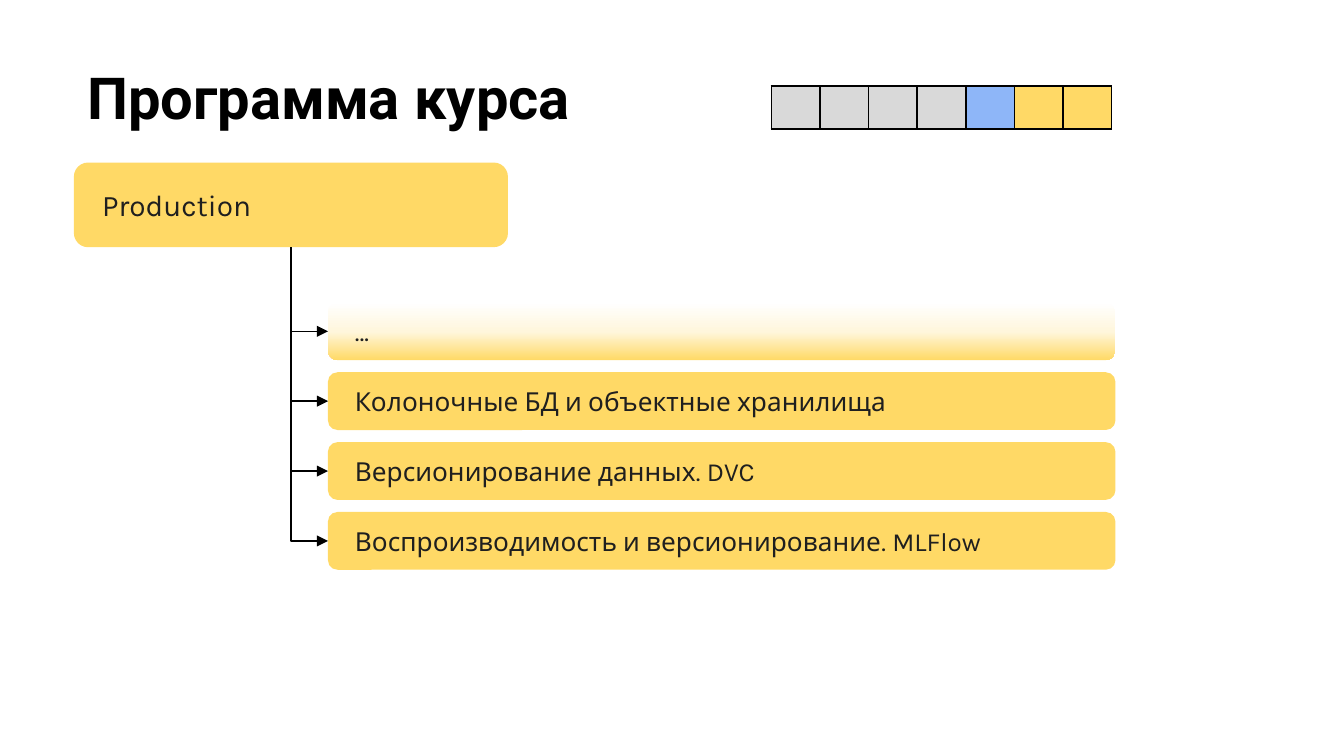
from lxml import etree
from pptx import Presentation
from pptx.dml.color import RGBColor
from pptx.enum import shapes, text
from pptx.oxml.ns import qn
from pptx.util import Inches, Pt

BLACK = RGBColor(0x00, 0x00, 0x00)
INK = RGBColor(0x1F, 0x1F, 0x1F)
WHITE = RGBColor(0xFF, 0xFF, 0xFF)
CREAM = RGBColor(0xFF, 0xF6, 0xDC)
YELLOW = RGBColor(0xFF, 0xD9, 0x66)
GREY = RGBColor(0xD9, 0xD9, 0xD9)
BLUE = RGBColor(0x8E, 0xB6, 0xF8)

TOPICS = [
    "…",
    "Колоночные БД и объектные хранилища",
    "Версионирование данных. DVC",
    "Воспроизводимость и версионирование. MLFlow",
]
TOPIC_TOP, TOPIC_STEP = 2.25, 0.52
PROGRESS = [GREY] * 4 + [BLUE] + [YELLOW] * 2


def write_text(shape, content, *, font="Karla", size=14, color=INK, bold=False,
               anchor=text.MSO_ANCHOR.MIDDLE, side_margin=0.18):
    frame = shape.text_frame
    frame.word_wrap = True
    frame.auto_size = text.MSO_AUTO_SIZE.NONE
    frame.vertical_anchor = anchor
    frame.margin_left = frame.margin_right = Inches(side_margin)
    frame.margin_top = frame.margin_bottom = Inches(0.1)
    paragraph = frame.paragraphs[0]
    paragraph.alignment = text.PP_ALIGN.LEFT
    run = paragraph.add_run()
    run.text = content
    run.font.name = font
    run.font.size = Pt(size)
    run.font.bold = bold
    run.font.color.rgb = color


def add_title(slide, content):
    title = slide.shapes.title
    title.left, title.top = Inches(0.55), Inches(0.36)
    title.width, title.height = Inches(9.32), Inches(1.2)
    write_text(title, content, font="Roboto", size=31, color=BLACK, bold=True,
               anchor=text.MSO_ANCHOR.TOP, side_margin=0.1)


def add_card(slide, content, left, top, width, height, size):
    card = slide.shapes.add_shape(
        shapes.MSO_SHAPE.ROUNDED_RECTANGLE,
        Inches(left), Inches(top), Inches(width), Inches(height))
    card.adjustments[0] = 0.167
    card.shadow.inherit = False
    card.fill.solid()
    card.fill.fore_color.rgb = YELLOW
    card.line.fill.background()
    write_text(card, content, size=size)
    return card


def fade_card(card):
    """Fill the card with a gradient from white at the top to yellow."""
    card.fill.gradient()
    card.fill.gradient_angle = 270
    stops = card._element.spPr.find(".//" + qn("a:gsLst"))
    for stop in list(stops):
        stops.remove(stop)
    for percent, color in [(0, WHITE), (51, CREAM), (100, YELLOW)]:
        stop = etree.SubElement(stops, qn("a:gs"), pos=str(percent * 1000))
        etree.SubElement(stop, qn("a:srgbClr"), val=str(color))


def add_bent_arrow(slide, parent, child):
    """Run from the parent's bottom down, then right to the child's left side."""
    arrow = slide.shapes.add_connector(shapes.MSO_CONNECTOR.ELBOW, 0, 0, 0, 0)
    arrow.begin_connect(parent, 2)
    arrow.end_connect(child, 1)
    arrow.line.color.rgb = BLACK
    arrow.line.width = Pt(0.75)

    # A one-bend connector is stored lying on its side: turned and flipped
    start_x, start_y = parent.left + parent.width // 2, parent.top + parent.height
    across = child.left - start_x
    down = child.top + child.height // 2 - start_y
    arrow.left = start_x + (across - down) // 2
    arrow.top = start_y + (down - across) // 2
    arrow.width, arrow.height = down, across
    properties = arrow._element.spPr
    frame = properties.find(qn("a:xfrm"))
    frame.attrib.pop("flipV", None)
    frame.set("rot", str(270 * 60000))
    frame.set("flipH", "1")
    properties.find(qn("a:prstGeom")).set("prst", "bentConnector2")

    line = properties.find(qn("a:ln"))
    etree.SubElement(line, qn("a:tailEnd"), type="triangle")
    etree.SubElement(properties, qn("a:effectLst"))


def add_borders(cell):
    properties = cell._tc.get_or_add_tcPr()
    for side in ("lnL", "lnR", "lnT", "lnB"):
        border = etree.SubElement(properties, qn("a:" + side), w=str(Pt(1)))
        fill = etree.SubElement(border, qn("a:solidFill"))
        etree.SubElement(fill, qn("a:srgbClr"), val=str(BLACK))


def add_progress_bar(slide, colors):
    width, height = Inches(2.53), Inches(0.32)
    table = slide.shapes.add_table(
        1, len(colors), Inches(5.74), Inches(0.64), width, height).table
    table.first_row = table.horz_banding = False
    for column, cell, color in zip(table.columns, table.rows[0].cells, colors):
        column.width = width // len(colors)
        cell.margin_top = cell.margin_bottom = 0
        add_borders(cell)
        cell.fill.solid()
        cell.fill.fore_color.rgb = color


def main():
    presentation = Presentation()
    # Widescreen, 16:9
    presentation.slide_width = Inches(10)
    presentation.slide_height = Inches(10) * 9 // 16
    slide = presentation.slides.add_slide(presentation.slide_layouts[5])

    # Heading and course progress
    add_title(slide, "Программа курса")
    add_progress_bar(slide, PROGRESS)

    # Module and its topics
    module = add_card(slide, "Production", 0.55, 1.21, 3.23, 0.63, size=16)
    topics = [
        add_card(slide, topic, 2.44, TOPIC_TOP + row * TOPIC_STEP, 5.86, 0.43, size=14)
        for row, topic in enumerate(TOPICS)
    ]
    fade_card(topics[0])
    for topic in topics:
        add_bent_arrow(slide, module, topic)

    presentation.save("out.pptx")


if __name__ == "__main__":
    main()
